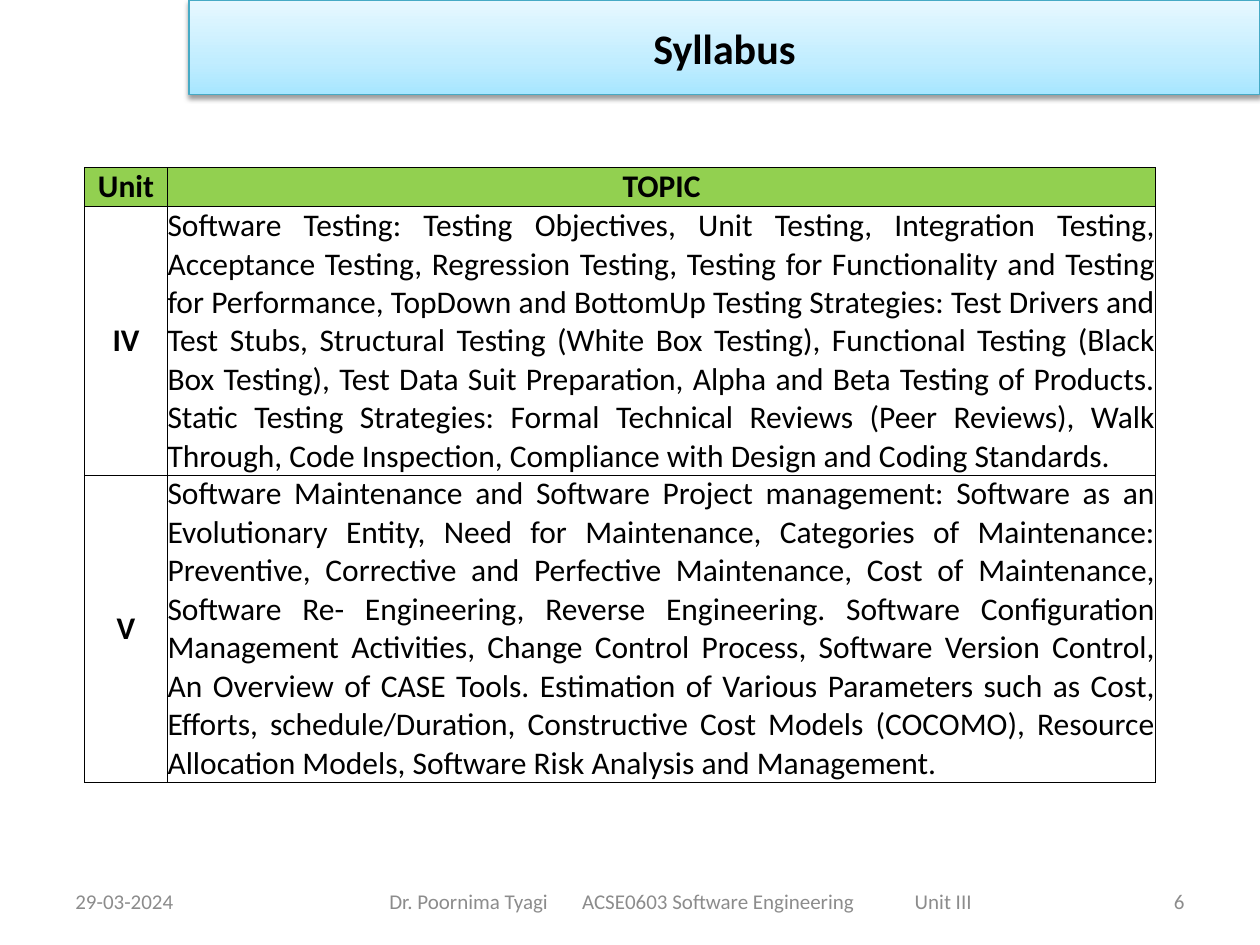
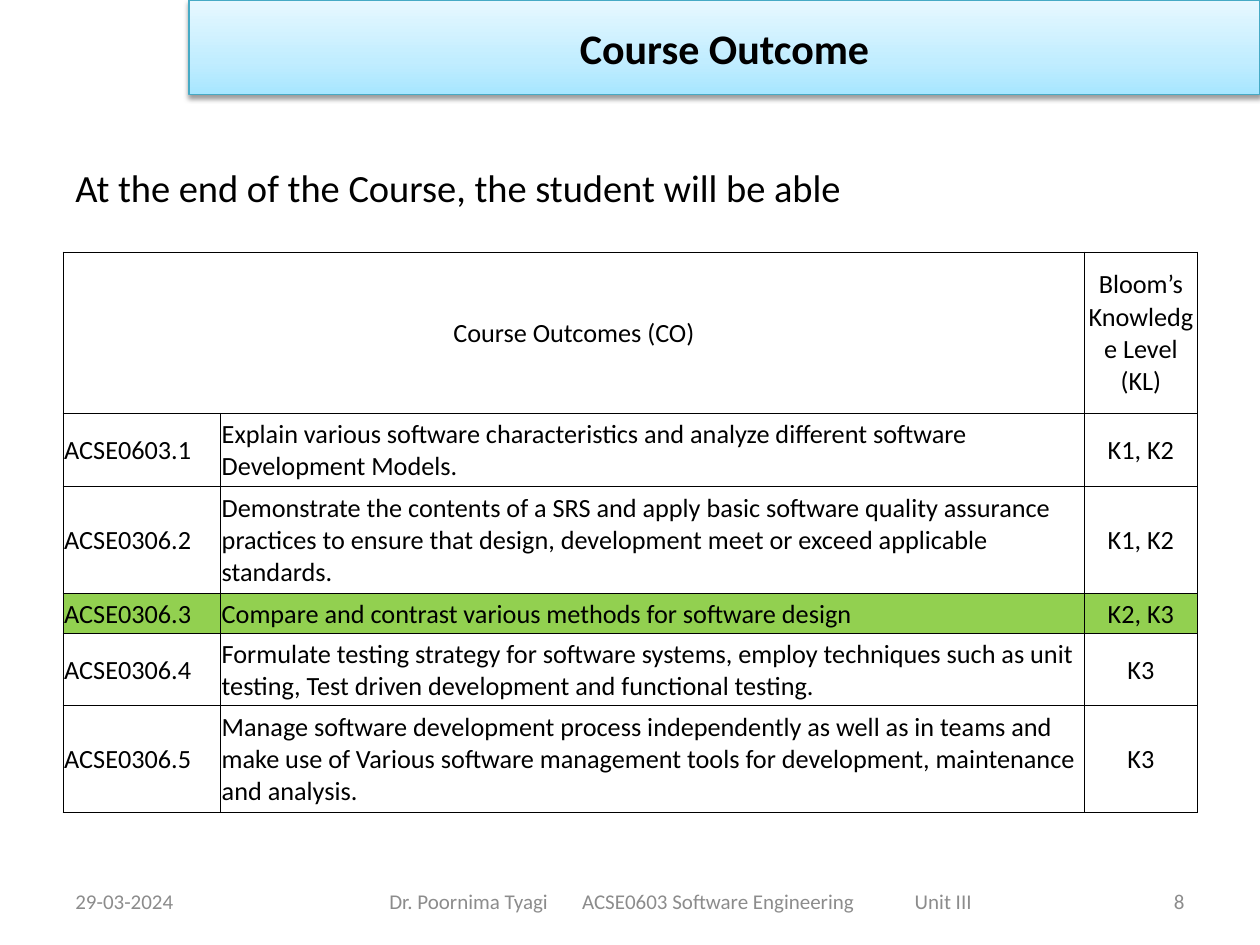
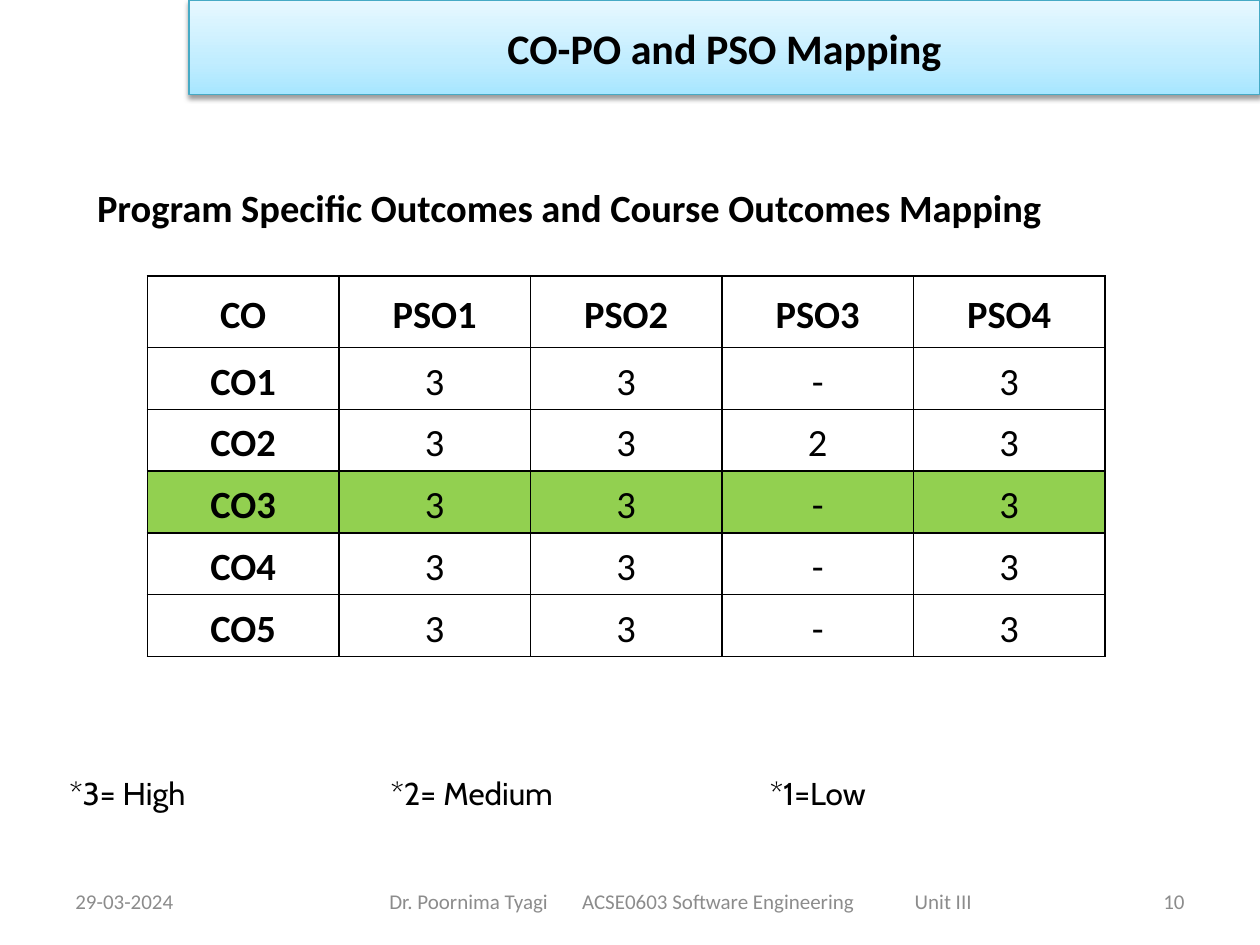
import pptx
import pptx.dml.color
import pptx.enum.shapes
import pptx.enum.text
import pptx.oxml
import pptx.oxml.ns
import pptx.util
from lxml import etree

Inches = pptx.util.Inches
Pt = pptx.util.Pt
RGBColor = pptx.dml.color.RGBColor
ALIGN = pptx.enum.text.PP_ALIGN
ANCHOR = pptx.enum.text.MSO_ANCHOR
qn = pptx.oxml.ns.qn

BLACK = RGBColor(0x00, 0x00, 0x00)
WHITE = RGBColor(0xFF, 0xFF, 0xFF)
GRAY = RGBColor(0x8C, 0x8C, 0x8C)
GREEN = RGBColor(0x92, 0xD0, 0x50)
BAND_EDGE = RGBColor(0x46, 0xAA, 0xC5)
BAND_STOPS = [
    (0, RGBColor(0xA7, 0xE6, 0xFF)),
    (35, RGBColor(0xC1, 0xED, 0xFF)),
    (100, RGBColor(0xE7, 0xF8, 0xFF)),
]
DRAWING = pptx.oxml.ns.nsdecls("a")

TITLE_BOX = (1.5, 0, 8.5, 0.75)
FOOTER_BOX = (0.5, 6.95, 9, 0.4)
TEXT_INSETS = (0.1, 0.05, 0.1, 0.05)
CURRENT_ROW_FILLS = [None, WHITE, WHITE, GREEN, None, None]

DATE = "29-03-2024"
COURSE = "Dr. Poornima Tyagi\tACSE0603 Software Engineering\tUnit III"

SYLLABUS = [
    ["Unit", "TOPIC"],
    ["IV", "Software Testing: Testing Objectives, Unit Testing, Integration Testing, "
           "Acceptance Testing, Regression Testing, Testing for Functionality and Testing for "
           "Performance, TopDown and BottomUp Testing Strategies: Test Drivers and Test Stubs, "
           "Structural Testing (White Box Testing), Functional Testing (Black Box Testing), "
           "Test Data Suit Preparation, Alpha and Beta Testing of Products. Static Testing "
           "Strategies: Formal Technical Reviews (Peer Reviews), Walk Through, Code Inspection, "
           "Compliance with Design and Coding Standards."],
    ["V", "Software Maintenance and Software Project management: Software as an Evolutionary "
          "Entity, Need for Maintenance, Categories of Maintenance: Preventive, Corrective and "
          "Perfective Maintenance, Cost of Maintenance, Software Re- Engineering, Reverse "
          "Engineering. Software Configuration Management Activities, Change Control Process, "
          "Software Version Control, An Overview of CASE Tools. Estimation of Various Parameters "
          "such as Cost, Efforts, schedule/Duration, Constructive Cost Models (COCOMO), Resource "
          "Allocation Models, Software Risk Analysis and Management."],
]
OUTCOMES = [
    ["Course Outcomes (CO)", "", "Bloom’s Knowledge Level (KL)"],
    ["ACSE0603.1", "Explain various software characteristics and analyze different software "
                   "Development Models.", "K1, K2"],
    ["ACSE0306.2", "Demonstrate the contents of a SRS and apply basic software quality assurance "
                   "practices to ensure that design, development meet or exceed applicable "
                   "standards.", "K1, K2"],
    ["ACSE0306.3", "Compare and contrast various methods for software design", "K2, K3"],
    ["ACSE0306.4", "Formulate testing strategy for software systems, employ techniques such as "
                   "unit testing, Test driven development and functional testing.", "K3"],
    ["ACSE0306.5", "Manage software development process independently as well as in teams and "
                   "make use of Various software management tools for development, maintenance "
                   "and analysis.", "K3"],
]
MAPPING = [
    ["CO", "PSO1", "PSO2", "PSO3", "PSO4"],
    ["CO1", "3", "3", "-", "3"],
    ["CO2", "3", "3", "2", "3"],
    ["CO3", "3", "3", "-", "3"],
    ["CO4", "3", "3", "-", "3"],
    ["CO5", "3", "3", "-", "3"],
]


def set_all(target, values):
    for name, value in values.items():
        setattr(target, name, value)


def set_insets(target, insets):
    sides = ("margin_left", "margin_top", "margin_right", "margin_bottom")
    set_all(target, {side: Inches(inset) for side, inset in zip(sides, insets)})


def write(frame, text, size, color=BLACK, bold=False, font="Calibri",
          align=ALIGN.LEFT, spacing=None, tabs=()):
    para = frame.paragraphs[0]
    set_all(para, {"alignment": align, "line_spacing": spacing})
    if tabs:
        tab_list = etree.SubElement(para._p.get_or_add_pPr(), qn("a:tabLst"))
        for position in tabs:
            etree.SubElement(tab_list, qn("a:tab"), pos=str(Inches(position)), algn="l")
    span = para.add_run()
    span.text = text
    set_all(span.font, {"name": font, "size": Pt(size), "bold": bold})
    span.font.color.rgb = color


def add_text(page, box, text, size, anchor=ANCHOR.MIDDLE, insets=TEXT_INSETS, **style):
    frame = page.shapes.add_textbox(*map(Inches, box)).text_frame
    set_all(frame, {"word_wrap": True, "vertical_anchor": anchor})
    set_insets(frame, insets)
    write(frame, text, size, **style)


def add_title_band(page, box, title):
    band = page.shapes.add_shape(
        pptx.enum.shapes.MSO_SHAPE.RECTANGLE, *map(Inches, box))
    band.shadow.inherit = False
    band.line.color.rgb = BAND_EDGE
    band.line.width = Pt(0.75)
    stops = "".join(
        f'<a:gs pos="{share * 1000}"><a:srgbClr val="{color}"/></a:gs>'
        for share, color in BAND_STOPS)
    properties = band._element.spPr
    properties.find(qn("a:prstGeom")).addnext(pptx.oxml.parse_xml(
        f'<a:gradFill {DRAWING} rotWithShape="1"><a:gsLst>{stops}</a:gsLst>'
        '<a:lin ang="16200000" scaled="0"/></a:gradFill>'))
    properties.find(qn("a:effectLst")).append(pptx.oxml.parse_xml(
        f'<a:outerShdw {DRAWING} blurRad="{Pt(3.1)}" dist="{Pt(1.6)}" dir="5400000" '
        'rotWithShape="0"><a:srgbClr val="000000"><a:alpha val="38000"/></a:srgbClr>'
        '</a:outerShdw>'))
    band.text_frame.vertical_anchor = ANCHOR.MIDDLE
    write(band.text_frame, title, 24, bold=True, align=ALIGN.CENTER)


def add_footer(page, box, number):
    left, top, width, height = box
    side = 2.33
    style = {"size": 12, "color": GRAY}
    add_text(page, (left, top, side, height), DATE, **style)
    add_text(page, (left + 2.25, top, 5.5, height), COURSE,
             insets=(0.34, 0.05, 0.1, 0.05), tabs=(1.53, 4.17), **style)
    add_text(page, (left + width - side, top, side, height), str(number),
             align=ALIGN.RIGHT, **style)


def add_page(deck, title, number):
    page = deck.slides.add_slide(deck.slide_layouts[6])
    add_title_band(page, TITLE_BOX, title)
    add_footer(page, FOOTER_BOX, number)
    return page


def add_borders(cell, width):
    properties = cell._tc.get_or_add_tcPr()
    for side in ("lnL", "lnR", "lnT", "lnB"):
        line = etree.SubElement(properties, qn(f"a:{side}"), w=str(Pt(width)))
        fill = etree.SubElement(line, qn("a:solidFill"))
        etree.SubElement(fill, qn("a:srgbClr"), val=str(BLACK))


def add_grid(page, corner, columns, heights, rows, fills, aligns, size, insets,
             border=0.5, bold_heads=True, spacing=None):
    """Draw a ruled table; the first row is centred, and heads are its row and column."""
    table = page.shapes.add_table(
        len(rows), len(columns), *map(Inches, (*corner, sum(columns), sum(heights)))).table
    set_all(table, {"first_row": False, "horz_banding": False})
    for column, width in zip(table.columns, columns):
        column.width = Inches(width)
    for row, height in zip(table.rows, heights):
        row.height = Inches(height)
    for r, (texts, fill) in enumerate(zip(rows, fills)):
        for c, text in enumerate(texts):
            cell = table.cell(r, c)
            add_borders(cell, border)
            if fill is None:
                cell.fill.background()
            else:
                cell.fill.solid()
                cell.fill.fore_color.rgb = fill
            cell.vertical_anchor = ANCHOR.MIDDLE
            set_insets(cell, insets)
            if text:
                write(cell.text_frame, text, size, spacing=spacing,
                      bold=bold_heads and (r == 0 or c == 0),
                      align=aligns[c] if r else ALIGN.CENTER)
    return table


def add_syllabus_page(deck):
    page = add_page(deck, "Syllabus", 6)
    add_grid(page, (0.67, 1.33), [0.66, 7.84], [0.31, 2.13, 2.44], SYLLABUS,
             [GREEN, None, None], [ALIGN.CENTER, ALIGN.JUSTIFY], 18, (0, 0, 0, 0))


def add_outcome_page(deck):
    page = add_page(deck, "Course Outcome", 8)
    add_text(page, (0.5, 1.25, 9, 0.67), "At the end of the Course, the student will be able",
             22, anchor=ANCHOR.TOP, align=ALIGN.JUSTIFY)
    table = add_grid(page, (0.5, 2), [1.25, 6.86, 0.89], [1.28, 0.58, 0.85, 0.32, 0.57, 0.85],
                     OUTCOMES, CURRENT_ROW_FILLS, [ALIGN.LEFT, ALIGN.LEFT, ALIGN.CENTER],
                     15, (0.01, 0.01, 0.01, 0), bold_heads=False)
    table.cell(0, 0).merge(table.cell(0, 1))


def add_mapping_page(deck):
    page = add_page(deck, "CO-PO and PSO Mapping", 10)
    add_text(page, (0.47, 1.41, 8.52, 0.42),
             "Program Specific Outcomes and Course Outcomes Mapping", 22, bold=True,
             insets=(0.3, 0.05, 0.1, 0))
    add_grid(page, (1.17, 2.19), [1.52] * 5, [0.57] + [0.49] * 5, MAPPING, CURRENT_ROW_FILLS,
             [ALIGN.CENTER] * 5, 22, (0.07, 0, 0.07, 0), border=1, spacing=1.15)
    add_text(page, (0, 6.09, 9.77, 0.4), "*3= High\t*2= Medium\t*1=Low", 18, font="Cabin",
             insets=(0.55, 0.05, 0.1, 0.05), tabs=(2.55, 5.56))


def main():
    deck = pptx.Presentation()
    set_all(deck, {"slide_width": Inches(10), "slide_height": Inches(7.5)})
    add_syllabus_page(deck)
    add_outcome_page(deck)
    add_mapping_page(deck)
    deck.save("out.pptx")


if __name__ == "__main__":
    main()
